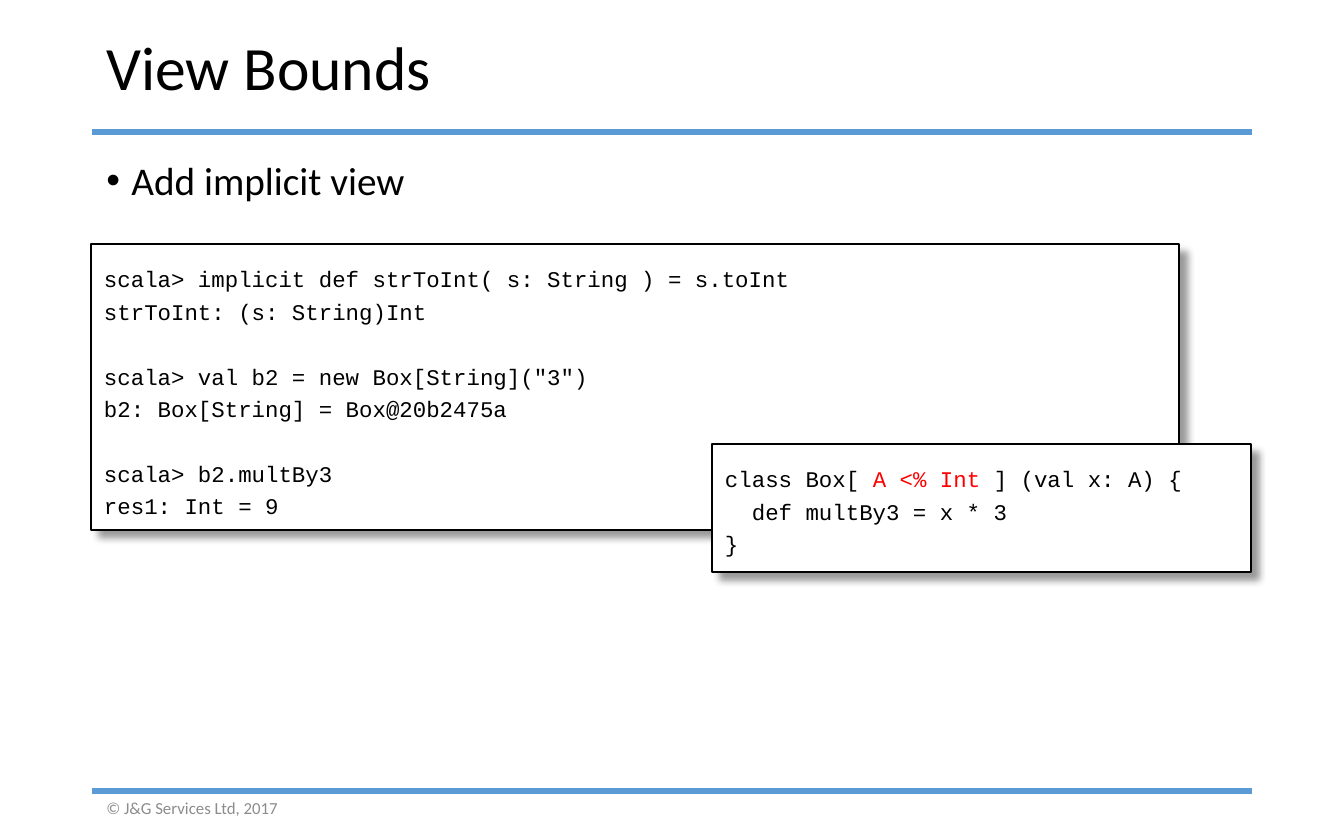
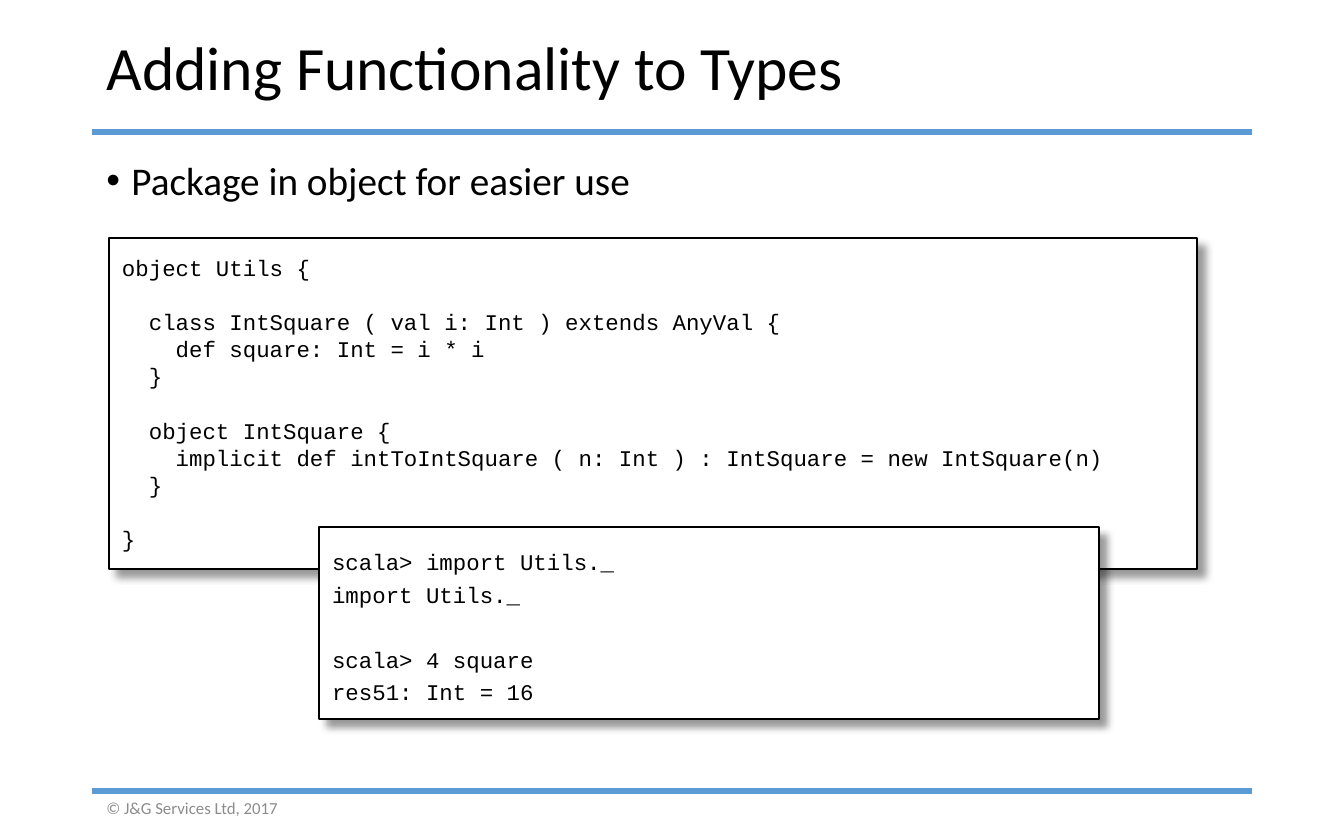
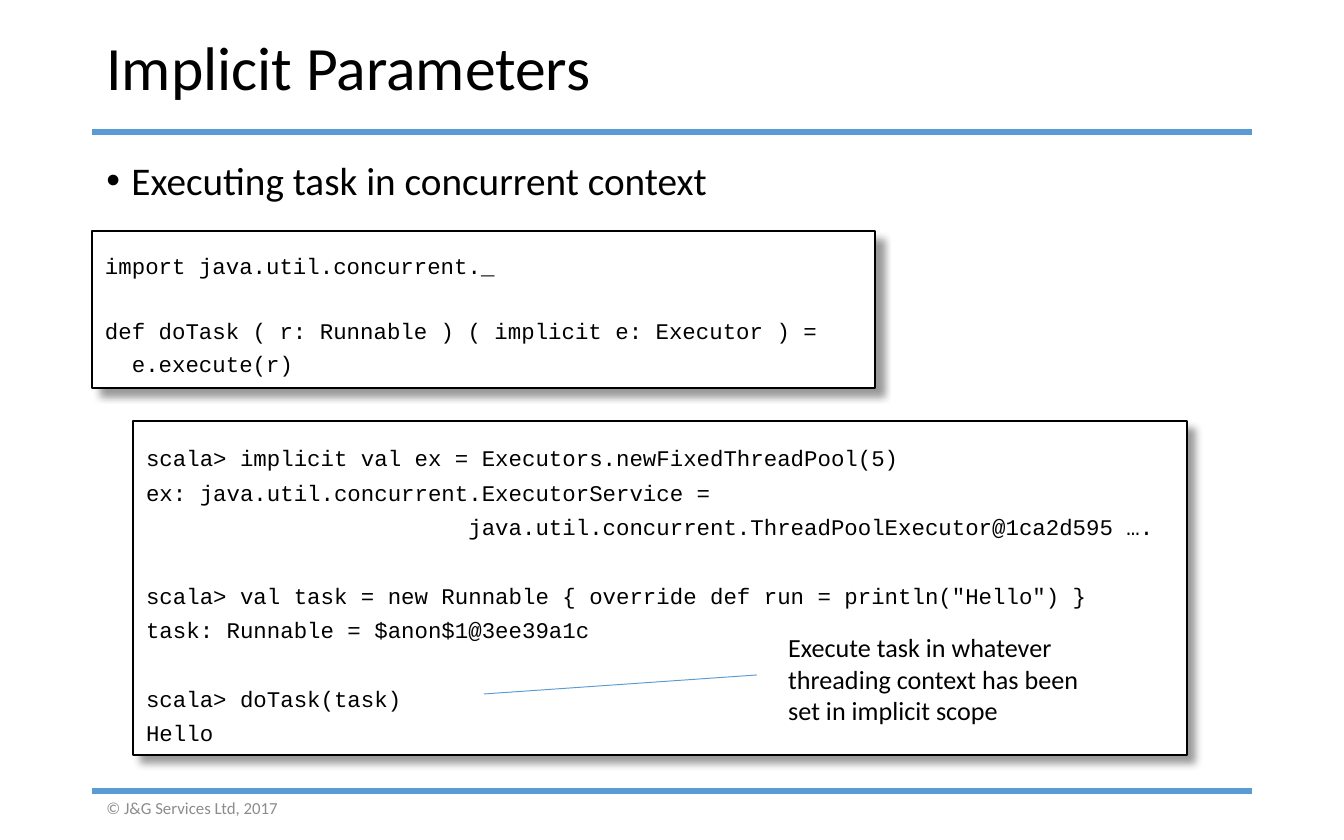
from dataclasses import dataclass

from lxml.etree import SubElement
from pptx import Presentation
from pptx.dml.color import RGBColor
from pptx.enum.shapes import MSO_CONNECTOR, MSO_SHAPE
from pptx.enum.text import MSO_ANCHOR, MSO_AUTO_SIZE, PP_ALIGN
from pptx.oxml.ns import qn
from pptx.util import Emu, Pt


@dataclass(frozen=True)
class Theme:
    ink: str = "000000"
    paper: str = "FFFFFF"
    rule: str = "5B9BD5"
    mark: str = "FF0000"
    faint: str = "8C8C8C"
    sans: str = "Calibri"
    mono: str = "Courier New"
    title: int = 33
    body: int = 21
    note: int = 14
    code: int = 12
    foot: int = 9


THEME = Theme()
LEFT, RIGHT = 92, 1252

VIEW = """scala> implicit def strToInt( s: String ) = s.toInt
strToInt: (s: String)Int

scala> val b2 = new Box[String]("3")
b2: Box[String] = Box@20b2475a

scala> b2.multBy3
res1: Int = 9"""

BOX = """class Box[ A <% Int ] (val x: A) {
  def multBy3 = x * 3
}"""

UTILS = """object Utils {

  class IntSquare ( val i: Int ) extends AnyVal {
    def square: Int = i * i
  }

  object IntSquare {
    implicit def intToIntSquare ( n: Int ) : IntSquare = new IntSquare(n)
  }

}"""

SQUARE = """scala> import Utils._
import Utils._

scala> 4 square
res51: Int = 16"""

TASK = """import java.util.concurrent._

def doTask ( r: Runnable ) ( implicit e: Executor ) =
  e.execute(r)"""

POOL = """scala> implicit val ex = Executors.newFixedThreadPool(5)
ex: java.util.concurrent.ExecutorService =
                        java.util.concurrent.ThreadPoolExecutor@1ca2d595 ….

scala> val task = new Runnable { override def run = println("Hello") }
task: Runnable = $anon$1@3ee39a1c

scala> doTask(task)
Hello"""


def px(size):
    return Emu(round(size * 914400 / 134.4))


def rgb(tone):
    return RGBColor.from_string(tone)


def place(shape, left, top, width, height):
    shape.left, shape.top = px(left), px(top)
    shape.width, shape.height = px(width), px(height)


def style(para, size, face=THEME.sans, tone=THEME.ink):
    para.alignment = PP_ALIGN.LEFT
    for run in para.runs:
        run.font.size = Pt(size)
        run.font.name = face
        run.font.color.rgb = rgb(tone)


def write(shape, text, size, tone=THEME.ink, anchor=MSO_ANCHOR.TOP, wrap=True):
    frame = shape.text_frame
    frame.text = text
    frame.word_wrap = wrap
    frame.auto_size = MSO_AUTO_SIZE.NONE
    frame.vertical_anchor = anchor
    for para in frame.paragraphs:
        style(para, size, tone=tone)
    return frame.paragraphs[0]


def add_line(slide, start, end, weight):
    line = slide.shapes.add_connector(
        MSO_CONNECTOR.STRAIGHT, *map(px, start + end))
    line.line.color.rgb = rgb(THEME.rule)
    line.line.width = Pt(weight)
    SubElement(line.element.spPr, qn("a:effectLst"))


def add_note(slide, text, area, size, **look):
    box = slide.shapes.add_textbox(*map(px, area))
    write(box, text, size, **look)


def add_page(deck, title, point, depth):
    slide = deck.slides.add_slide(deck.slide_layouts[1])
    for level in (132, 791):
        add_line(slide, (LEFT, level), (RIGHT, level), 3)
    add_note(slide, "© J&G Services Ltd, 2017", (93, 794, 302, 28),
             THEME.foot, tone=THEME.faint, anchor=MSO_ANCHOR.MIDDLE)

    head, body = slide.placeholders
    place(head, 93, 24, 1158, 94)
    para = write(head, title, THEME.title, anchor=MSO_ANCHOR.MIDDLE)
    para.line_spacing = 0.9

    place(body, 93, 155, 1158, depth)
    para = write(body, point, THEME.body)
    para.line_spacing = 0.9
    para.space_before = Pt(0)
    props = para._p.get_or_add_pPr()
    props.set("marL", str(px(25)))
    props.set("indent", str(px(-25)))
    SubElement(props, qn("a:buChar"), char="•")
    return slide


def add_shade(shape):
    shape.shadow.inherit = False
    effects = shape.element.spPr.find(qn("a:effectLst"))
    shade = SubElement(
        effects, qn("a:outerShdw"), blurRad=str(Pt(4)), dist=str(Pt(6)),
        dir="2700000", algn="tl", rotWithShape="0")
    tone = SubElement(shade, qn("a:srgbClr"), val=THEME.ink)
    SubElement(tone, qn("a:alpha"), val="40000")


def add_code(slide, code, area, lead=17.4, mark=""):
    box = slide.shapes.add_shape(MSO_SHAPE.RECTANGLE, *map(px, area))
    box.fill.solid()
    box.fill.fore_color.rgb = rgb(THEME.paper)
    box.line.color.rgb = rgb(THEME.ink)
    box.line.width = Pt(0.75)
    add_shade(box)

    frame = box.text_frame
    frame.word_wrap = True
    frame.vertical_anchor = MSO_ANCHOR.TOP
    frame.margin_left = frame.margin_right = px(13)
    frame.margin_top = frame.margin_bottom = px(16)
    para, gap = frame.paragraphs[0], 0
    for count, line in enumerate(code.splitlines()):
        if not line:
            gap += lead
            continue
        if count:
            para = frame.add_paragraph()
        if mark and mark in line:
            for part in line.partition(mark):
                para.add_run().text = part
        else:
            para.text = line
        style(para, THEME.code, THEME.mono)
        para.line_spacing = Pt(lead)
        para.space_before = Pt(gap)
        gap = 0
        for run in para.runs:
            if run.text == mark:
                run.font.color.rgb = rgb(THEME.mark)


def main():
    deck = Presentation()
    deck.slide_width, deck.slide_height = px(1344), px(840)

    slide = add_page(deck, "View Bounds", "Add implicit view", 165)
    add_code(slide, VIEW, (91, 244, 1088, 286))
    add_code(slide, BOX, (712, 444, 539, 128), mark="A <% Int ")

    slide = add_page(deck, "Adding Functionality to Types",
                     "Package in object for easier use", 74)
    add_code(slide, UTILS, (109, 238, 1088, 331), lead=14.5)
    add_code(slide, SQUARE, (319, 527, 780, 192))

    slide = add_page(deck, "Implicit Parameters",
                     "Executing task in concurrent context", 77)
    add_code(slide, TASK, (92, 231, 783, 157))
    add_code(slide, POOL, (133, 421, 1054, 334), lead=18.4)
    add_note(slide, "Execute task in whatever\vthreading context has been\v"
             "set in implicit scope", (775, 625, 320, 109),
             THEME.note, wrap=False)
    add_line(slide, (757, 675), (484, 694), 0.5)

    deck.save("out.pptx")


if __name__ == "__main__":
    main()
